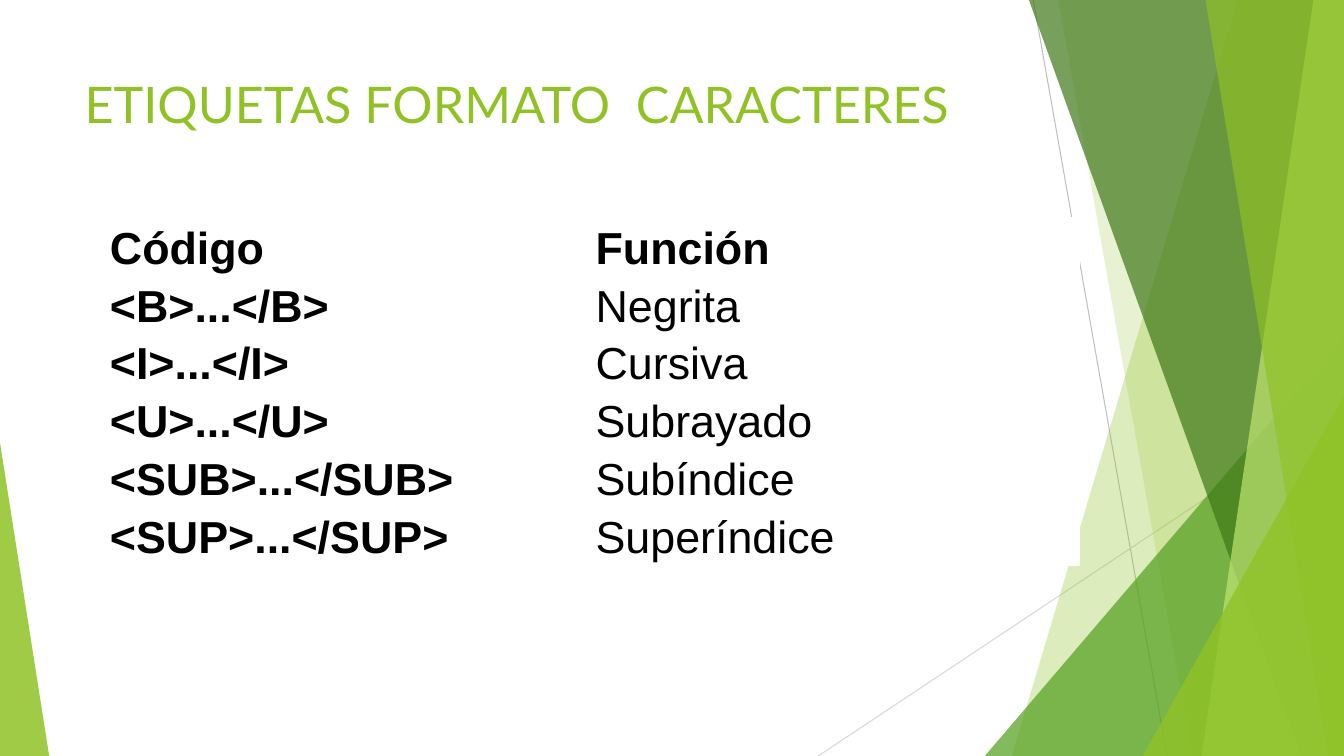
"""Build the slide on character formatting tags."""
import pptx
import pptx.dml.color
import pptx.enum.shapes
import pptx.enum.text
import pptx.oxml
import pptx.oxml.ns
import pptx.util
import lxml.etree

Cm, Pt, qn = pptx.util.Cm, pptx.util.Pt, pptx.oxml.ns.qn
COLORS = {
    "lime": "90C226", "green": "54A021", "forest": "3F7818", "pale": "BFE471",
    "gray": "BFBFBF", "silver": "D8D8D8", "black": "000000", "white": "FFFFFF",
}
WIDTH, HEIGHT = 33.87, 19.05


def rgb(name):
    return pptx.dml.color.RGBColor.from_string(COLORS[name])


def write_text(frame, text, font, size, color, bold=False, spacing=1.0, margins=(0.25, 0.13),
               anchor=pptx.enum.text.MSO_ANCHOR.TOP):
    frame.margin_left = frame.margin_right = Cm(margins[0])
    frame.margin_top = frame.margin_bottom = Cm(margins[1])
    frame.vertical_anchor = anchor
    text_frame = getattr(frame, "text_frame", frame)
    text_frame.word_wrap = True
    paragraph = text_frame.paragraphs[0]
    paragraph.alignment = pptx.enum.text.PP_ALIGN.LEFT
    paragraph.line_spacing = spacing
    paragraph.space_before = Pt(0)
    run = paragraph.add_run()
    run.text = text
    run.font.name, run.font.size, run.font.bold = font, Pt(size), bold
    run.font.color.rgb = rgb(color)


presentation = pptx.Presentation()
presentation.slide_width, presentation.slide_height = Cm(WIDTH), Cm(HEIGHT)
slide = presentation.slides.add_slide(presentation.slide_layouts[5])
shapes = slide.shapes

for start_x, start_y, end_x, color in [(26.04, 0, 29.41, "gray"), (WIDTH, 10.24, 20.62, "silver")]:
    line = shapes.add_connector(pptx.enum.shapes.MSO_CONNECTOR.STRAIGHT,
                                Cm(start_x), Cm(start_y), Cm(end_x), Cm(HEIGHT))
    line.line.width = Pt(0.75)
    line.line.color.rgb = rgb(color)
    lxml.etree.SubElement(line.element.spPr, qn("a:effectLst"))

facets = [
    ("band", (31.19, 25.5), "lime", 30),
    ("band", (26.67, 30.05), "lime", 20),
    ("triangle", (24.82, 8.46, WIDTH, 1), "green", 72),
    ("band", (25.93, 32.79), "forest", 70),
    ("band", (33.1, 30.28), "pale", 70),
    ("band", (30.38, 33.48), "lime", 65),
    ("triangle", (28.8, 9.98, WIDTH, 1), "lime", 80),
    ("triangle", (0, 11.15, 1.24, 0), "lime", 85),
]
for kind, geometry, color, opacity in facets:
    if kind == "band":
        top_x, bottom_x = geometry
        builder = shapes.build_freeform(Cm(top_x), 0)
        builder.add_line_segments([(Cm(WIDTH), 0), (Cm(WIDTH), Cm(HEIGHT)), (Cm(bottom_x), Cm(HEIGHT))])
        facet = builder.convert_to_shape()
    else:
        left, top, right, apex = geometry
        facet = shapes.add_shape(pptx.enum.shapes.MSO_SHAPE.ISOSCELES_TRIANGLE,
                                 Cm(left), Cm(top), Cm(right - left), Cm(HEIGHT - top))
        facet.adjustments[0] = apex
    facet.shadow.inherit = False
    facet.line.fill.background()
    facet.fill.solid()
    facet.fill.fore_color.rgb = rgb(color)
    fill_color = facet.element.spPr.find(f"{qn('a:solidFill')}/{qn('a:srgbClr')}")
    lxml.etree.SubElement(fill_color, qn("a:alpha"), val=str(opacity * 1000))

title = shapes.title
title.element.getparent().append(title.element)
title.left, title.top, title.width, title.height = Cm(1.88), Cm(1.7), Cm(23.88), Cm(3.66)
title.text_frame.auto_size = pptx.enum.text.MSO_AUTO_SIZE.NONE
write_text(title.text_frame, "ETIQUETAS FORMATO  CARACTERES", font="Lato", size=36, color="lime")

tags = [
    ("Código", "Función"),
    ("<B>...</B>", "Negrita"),
    ("<I>...</I>", "Cursiva"),
    ("<U>...</U>", "Subrayado"),
    ("<SUB>...</SUB>", "Subíndice"),
    ("<SUP>...</SUP>", "Superíndice"),
]
row_height = 1.46
table = shapes.add_table(len(tags), 2, Cm(2.72), Cm(5.49), Cm(24.48), Cm(row_height * len(tags))).table
for row_index, row in enumerate(tags):
    for column_index, text in enumerate(row):
        cell = table.cell(row_index, column_index)
        properties = cell._tc.get_or_add_tcPr()
        for side in "LRTB":
            width = Pt(3) if row_index == 0 and side == "B" else Pt(1)
            border = lxml.etree.SubElement(properties, qn(f"a:ln{side}"), w=str(width))
            border_fill = lxml.etree.SubElement(border, qn("a:solidFill"))
            lxml.etree.SubElement(border_fill, qn("a:srgbClr"), val=COLORS["white"])
        cell.fill.solid()
        cell.fill.fore_color.rgb = rgb("white")
        write_text(cell, text, font="Arial", size=32, color="black",
                   bold=row_index == 0 or column_index == 0, spacing=1.07,
                   margins=(0.05, 0.05), anchor=pptx.enum.text.MSO_ANCHOR.MIDDLE)

presentation.save("out.pptx")
